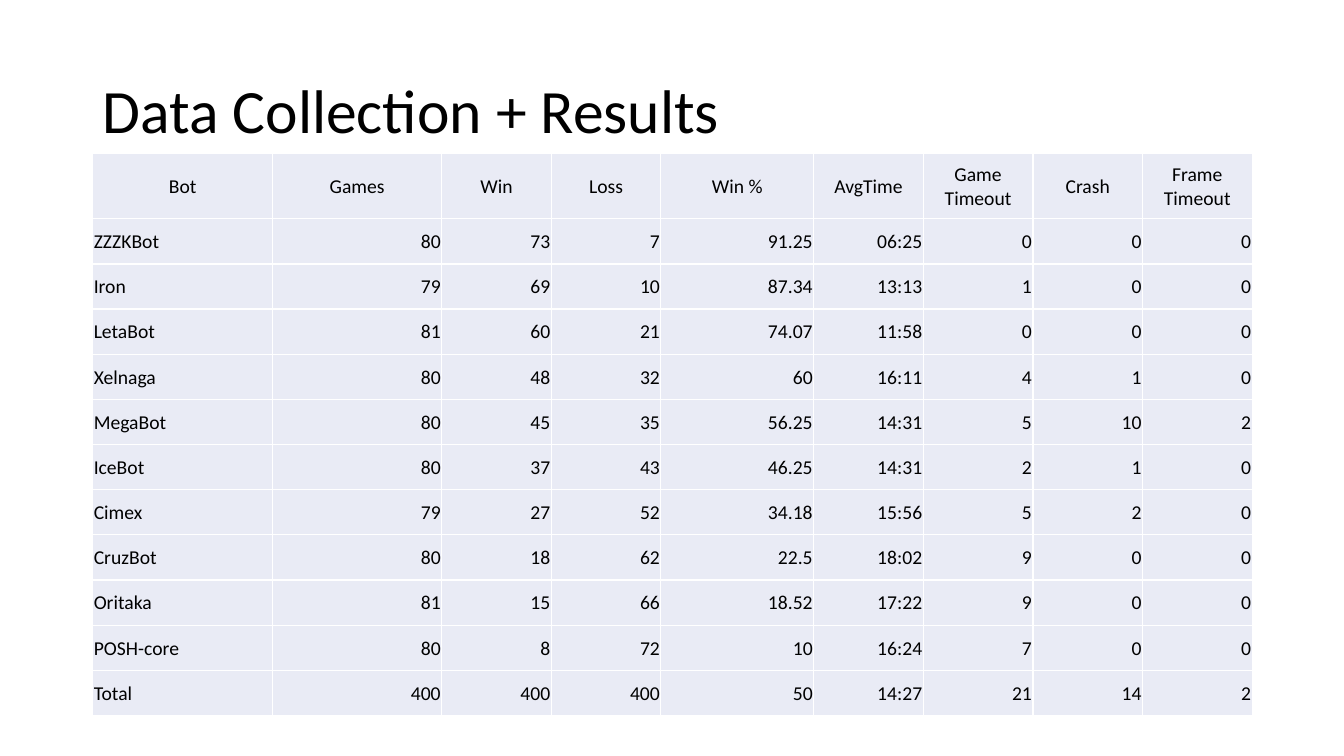
from collections import namedtuple

from lxml.etree import SubElement
from pptx import Presentation
from pptx.dml.color import RGBColor
from pptx.enum.text import MSO_ANCHOR, PP_ALIGN
from pptx.oxml.ns import qn
from pptx.util import Inches, Pt

Box = namedtuple("Box", "left top width height")

BLACK = RGBColor(0x00, 0x00, 0x00)
WHITE = RGBColor(0xFF, 0xFF, 0xFF)
PALE_BLUE = RGBColor(0xE9, 0xEB, 0xF5)
FONT = "Calibri"

TITLE_BOX = Box(Inches(0.92), Inches(0.4), Inches(11.5), Inches(1.45))
TABLE_BOX = Box(Inches(0.92), Inches(1.52), Inches(11.5), Inches(5.58))
HEADER_HEIGHT = Inches(0.65)
COLUMN_WEIGHTS = (1.79, 1.68, 1.09, 1.09, 1.52, 1.09, 1.09, 1.09, 1.09)
CELL_FORMAT = {
    "vertical_anchor": MSO_ANCHOR.MIDDLE,
    "margin_left": Inches(0.01),
    "margin_right": Inches(0.01),
    "margin_top": Inches(0.01),
    "margin_bottom": 0,
}

HEADERS = ("Bot", "Games", "Win", "Loss", "Win %", "AvgTime",
           "Game Timeout", "Crash", "Frame Timeout")
RESULTS = (
    ("ZZZKBot", "80", "73", "7", "91.25", "06:25", "0", "0", "0"),
    ("Iron", "79", "69", "10", "87.34", "13:13", "1", "0", "0"),
    ("LetaBot", "81", "60", "21", "74.07", "11:58", "0", "0", "0"),
    ("Xelnaga", "80", "48", "32", "60", "16:11", "4", "1", "0"),
    ("MegaBot", "80", "45", "35", "56.25", "14:31", "5", "10", "2"),
    ("IceBot", "80", "37", "43", "46.25", "14:31", "2", "1", "0"),
    ("Cimex", "79", "27", "52", "34.18", "15:56", "5", "2", "0"),
    ("CruzBot", "80", "18", "62", "22.5", "18:02", "9", "0", "0"),
    ("Oritaka", "81", "15", "66", "18.52", "17:22", "9", "0", "0"),
    ("POSH-core", "80", "8", "72", "10", "16:24", "7", "0", "0"),
    ("Total", "400", "400", "400", "50", "14:27", "21", "14", "2"),
)


def apply_format(target, values):
    """Set each named attribute on the target."""
    for name, value in values.items():
        setattr(target, name, value)


def write_text(frame, text, size, para_format):
    """Write one formatted paragraph into a text frame."""
    para = frame.paragraphs[0]
    apply_format(para, para_format)
    span = para.add_run()
    span.text = text
    apply_format(span.font, {"name": FONT, "size": Pt(size)})
    span.font.color.rgb = BLACK


def add_borders(cell, color, width):
    """Draw a solid line on all four sides of a cell."""
    properties = cell._tc.get_or_add_tcPr()
    for position, side in enumerate(("a:lnL", "a:lnR", "a:lnT", "a:lnB")):
        line = SubElement(properties, qn(side), w=str(width))
        fill = SubElement(line, qn("a:solidFill"))
        SubElement(fill, qn("a:srgbClr"), val=str(color))
        properties.insert(position, line)


def add_title(page, box, text):
    """Place the slide title in its box."""
    frame = page.shapes.add_textbox(*box).text_frame
    apply_format(frame, {"word_wrap": True, "vertical_anchor": MSO_ANCHOR.MIDDLE})
    write_text(frame, text, 44, {"line_spacing": 0.9})


def cell_alignment(row, column):
    """Centre headers, left-align bot names and right-align figures."""
    if row == 0:
        return PP_ALIGN.CENTER
    return PP_ALIGN.LEFT if column == 0 else PP_ALIGN.RIGHT


def add_results_table(page, box, headers, results):
    """Fill the box with a table of results for each bot."""
    rows = (headers, *results)
    table = page.shapes.add_table(len(rows), len(headers), *box).table
    apply_format(table, {"first_row": False, "horz_banding": False})
    for column, weight in zip(table.columns, COLUMN_WEIGHTS):
        column.width = round(box.width * weight / sum(COLUMN_WEIGHTS))
    body_height = round((box.height - HEADER_HEIGHT) / len(results))
    for row_index, values in enumerate(rows):
        table.rows[row_index].height = body_height if row_index else HEADER_HEIGHT
        for column_index, value in enumerate(values):
            cell = table.cell(row_index, column_index)
            apply_format(cell, CELL_FORMAT)
            cell.fill.solid()
            cell.fill.fore_color.rgb = PALE_BLUE
            add_borders(cell, WHITE, Pt(1))
            alignment = cell_alignment(row_index, column_index)
            write_text(cell.text_frame, value, 14, {"alignment": alignment})


def main():
    """Build the results slide and save the deck."""
    deck = Presentation()
    apply_format(deck, {"slide_width": Inches(13.33), "slide_height": Inches(7.5)})
    page = deck.slides.add_slide(deck.slide_layouts[6])
    add_title(page, TITLE_BOX, "Data Collection + Results")
    add_results_table(page, TABLE_BOX, HEADERS, RESULTS)
    deck.save("out.pptx")


if __name__ == "__main__":
    main()
